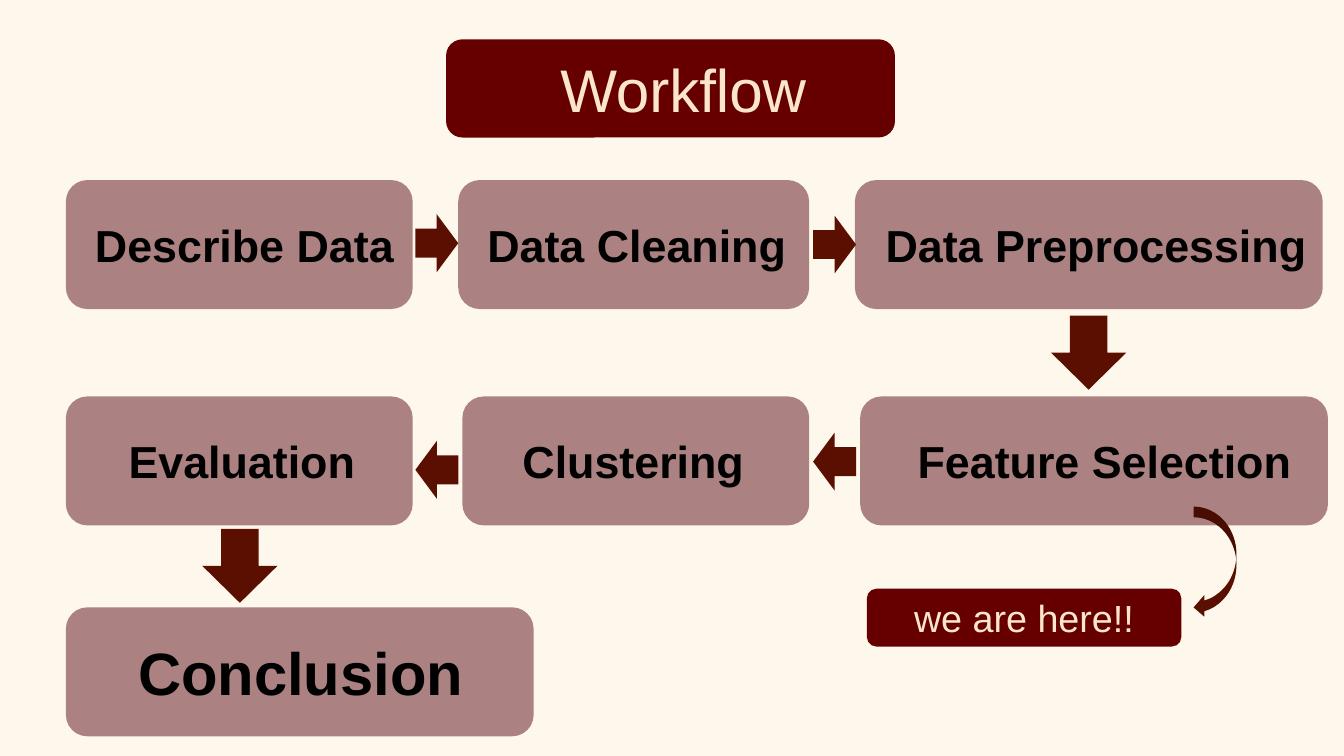
from dataclasses import dataclass

from pptx import Presentation
from pptx import util as u
from pptx.dml import color
from pptx.enum import shapes, text

FONT = "Arial"
CREAM, SAND, MAROON = "FEF8EC", "FCE5CD", "660000"
ROSE, BROWN, BLACK = "AC8181", "5B0F00", "000000"
STEP_HEIGHT = 69.1
ROW_1, ROW_2, ROW_3 = 96.5, 212.4, 325.4
Kind = shapes.MSO_SHAPE


@dataclass
class Box:
    """A rounded box; indent is the space left of its label."""
    label: str
    left: float
    top: float
    width: float
    indent: float = 0
    height: float = STEP_HEIGHT
    size: float = 24
    bold: bool = True
    fill: str = ROSE
    ink: str = BLACK


@dataclass
class Arrow:
    left: float
    top: float
    width: float
    height: float
    rotation: float = 0
    kind: Kind = Kind.RIGHT_ARROW


STEPS = [
    Box("Describe Data", 35.3, ROW_1, 185.8, 12.2),
    Box("Data Cleaning", 245.5, ROW_1, 188, 12.2),
    Box("Data Preprocessing", 458, ROW_1, 250.6, 13),
    Box("Feature Selection", 460.8, ROW_2, 250.6, 27.4),
    Box("Clustering", 247.7, ROW_2, 185.8, 28.8),
    Box("Evaluation", 35.3, ROW_2, 185.8, 30.2),
    Box("Conclusion", 35.3, ROW_3, 250.6, 35.3, size=32),
]
BANNER = Box("", 239, 21.1, 240.5, height=52.6, fill=MAROON)
MARKER = Box("we are here!!", 464.4, 315.4, 168.5, 23.8, height=31,
             size=20.2, bold=False, fill=MAROON, ink=SAND)
ARROWS = [
    Arrow(222.5, 114.8, 23, 31),
    Arrow(435.6, 115.5, 23, 31),
    Arrow(435.6, 231.8, 23, 31, 180),
    Arrow(222.5, 236.2, 23, 31, 180),
    Arrow(563.4, 168.8, 39.6, 40.3, 90),
    Arrow(108.7, 283, 39.6, 40.3, 90),
    Arrow(639.4, 271.4, 23, 59.8, kind=Kind.CURVED_LEFT_ARROW),
]


def rgb(value: str) -> color.RGBColor:
    return color.RGBColor.from_string(value)


def add_filled(page, kind: Kind, part: Box | Arrow, fill: str):
    shape = page.shapes.add_shape(kind, u.Pt(part.left), u.Pt(part.top),
                                  u.Pt(part.width), u.Pt(part.height))
    shape.shadow.inherit = False
    shape.fill.solid()
    shape.fill.fore_color.rgb = rgb(fill)
    shape.line.fill.background()
    return shape


def write(frame, label: str, size: float, bold: bool, ink: str) -> None:
    frame.word_wrap = True
    para = frame.paragraphs[0]
    para.text = label
    para.alignment = text.PP_ALIGN.LEFT
    para.font.name = FONT
    para.font.size = u.Pt(size)
    para.font.bold = bold
    para.font.color.rgb = rgb(ink)


def add_box(page, box: Box) -> None:
    shape = add_filled(page, Kind.ROUNDED_RECTANGLE, box, box.fill)
    if box.label:
        frame = shape.text_frame
        frame.margin_left = u.Pt(box.indent)
        frame.margin_right = frame.margin_top = frame.margin_bottom = 0
        frame.vertical_anchor = text.MSO_ANCHOR.MIDDLE
        write(frame, box.label, box.size, box.bold, box.ink)


def add_arrow(page, arrow: Arrow) -> None:
    add_filled(page, arrow.kind, arrow, BROWN).rotation = arrow.rotation


def place_title(page) -> None:
    title = page.shapes.title
    title.left, title.top = u.Pt(293), u.Pt(21.1)
    title.width, title.height = u.Pt(190), u.Pt(45.4)
    frame = title.text_frame
    frame.margin_left = frame.margin_right = u.Pt(7.2)
    frame.margin_top = frame.margin_bottom = u.Pt(7.2)
    frame.vertical_anchor = text.MSO_ANCHOR.TOP
    frame.auto_size = text.MSO_AUTO_SIZE.NONE
    write(frame, "Workflow", 32.2, False, SAND)
    # Bring the title in front of its banner
    title.element.getparent().append(title.element)


def main() -> None:
    deck = Presentation()
    deck.slide_width, deck.slide_height = u.Pt(720), u.Pt(405)
    page = deck.slides.add_slide(deck.slide_layouts[5])
    page.background.fill.solid()
    page.background.fill.fore_color.rgb = rgb(CREAM)

    # Steps, title and marker
    for box in [*STEPS, BANNER, MARKER]:
        add_box(page, box)
    place_title(page)

    # Flow arrows
    for arrow in ARROWS:
        add_arrow(page, arrow)

    deck.save("out.pptx")


if __name__ == "__main__":
    main()
